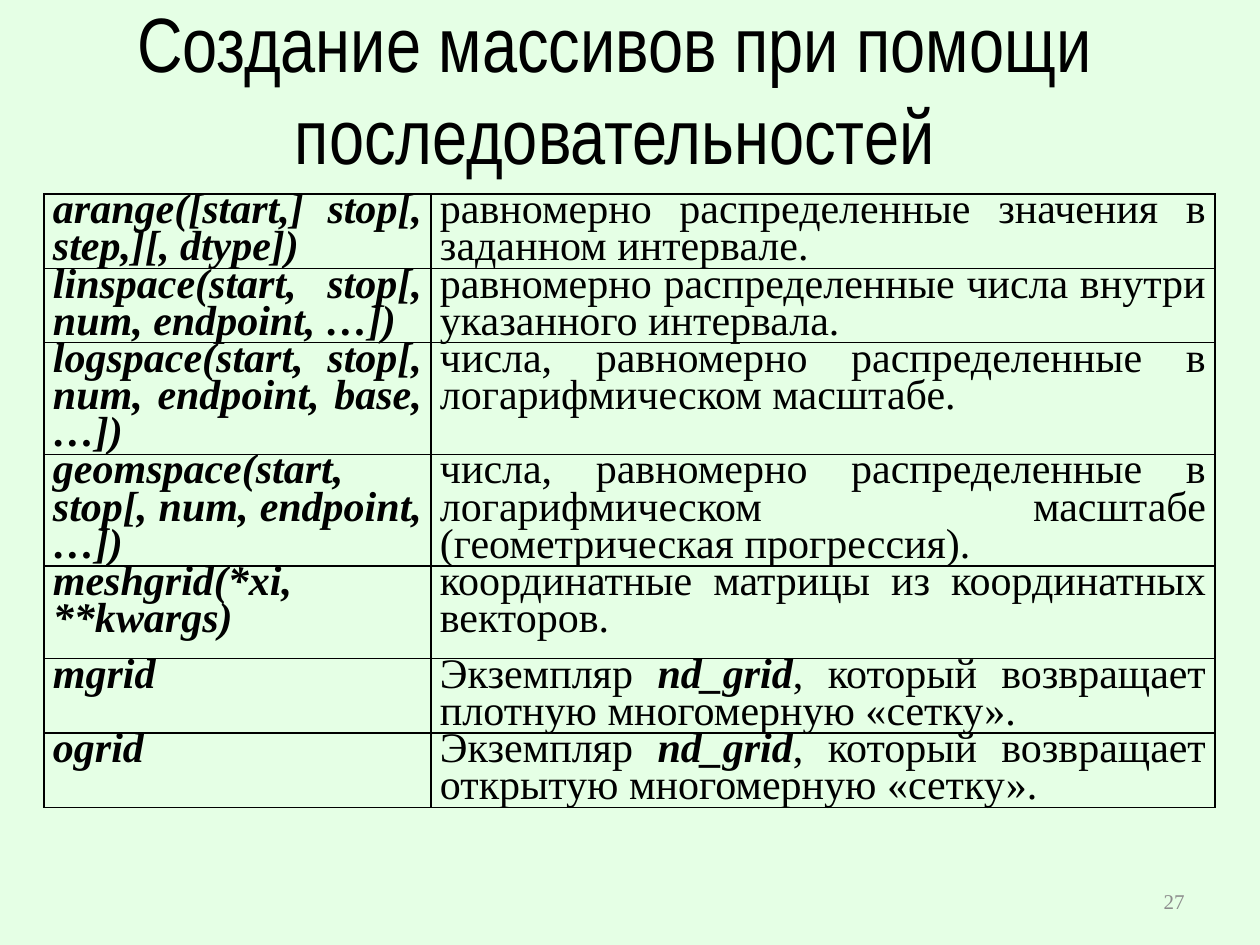
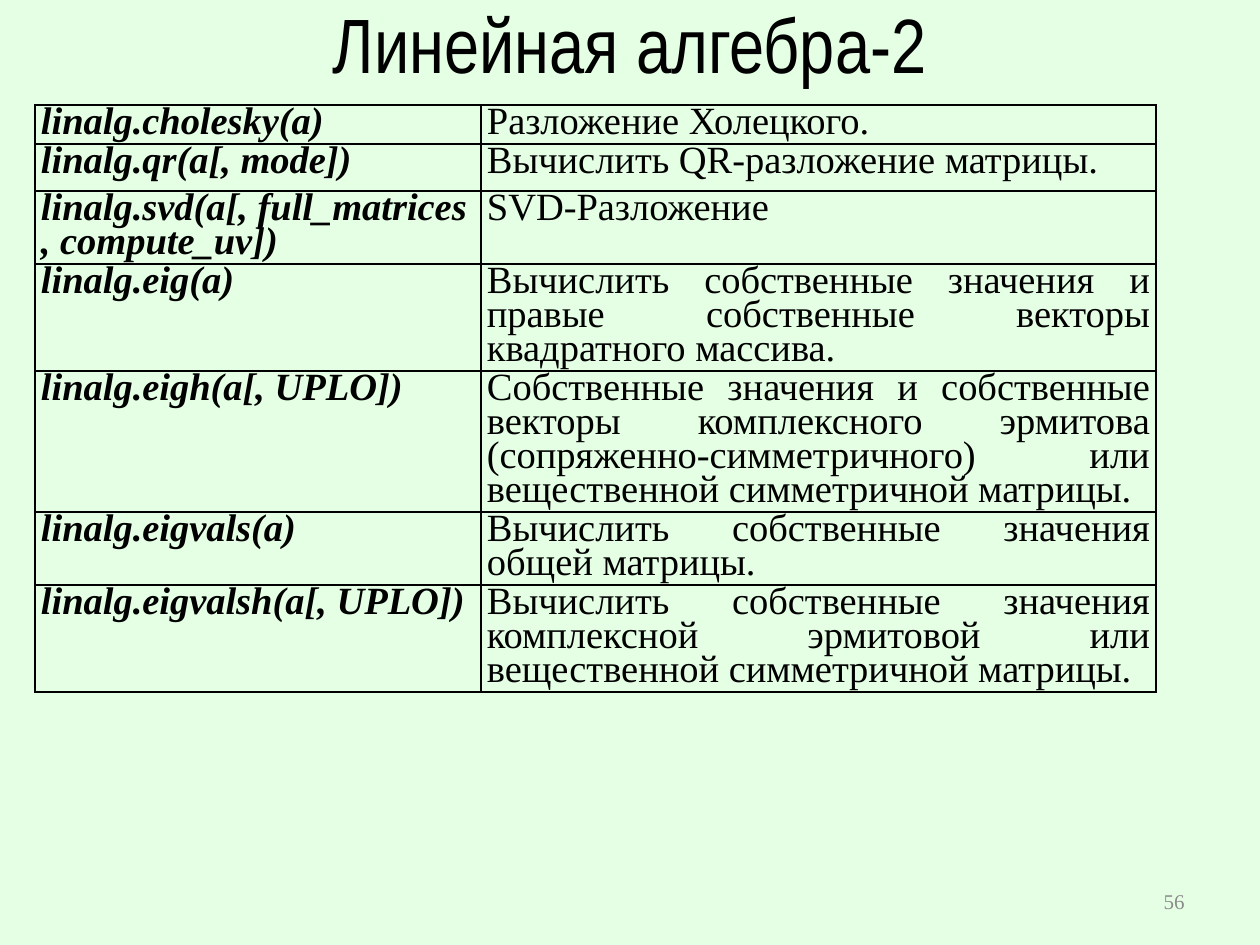
import pptx
import pptx.util
import pptx.dml.color
import pptx.enum.text
import pptx.oxml.ns
from lxml import etree

RGB = pptx.dml.color.RGBColor
MINT = RGB(0xE5, 0xFF, 0xE5)
BLACK = RGB(0, 0, 0)
GREY = RGB(0x8C, 0x8C, 0x8C)
HEAD = "Arial Narrow"
BODY = "Times New Roman"
ALIGN = pptx.enum.text.PP_ALIGN
MIDDLE = pptx.enum.text.MSO_ANCHOR.MIDDLE
FIXED = pptx.enum.text.MSO_AUTO_SIZE.NONE
GAP = chr(160)

ARRAYS = [
    (74, "arange([start,] stop[, step,][, dtype])",
     "равномерно распределенные значения в заданном интервале."),
    (74, "linspace(start, stop[, num, endpoint, …])",
     "равномерно распределенные числа внутри указанного интервала."),
    (111, "logspace(start, stop[, num, endpoint, base, …])",
     "числа, равномерно распределенные в логарифмическом масштабе."),
    (111, "geomspace(start, stop[, num, endpoint, …])",
     "числа, равномерно распределенные в логарифмическом масштабе "
     "(геометрическая прогрессия)."),
    (93, "meshgrid(*xi, **kwargs)",
     "координатные матрицы из координатных векторов."),
    (74, "mgrid",
     "Экземпляр |nd_grid|, который возвращает плотную многомерную «сетку»."),
    (74, "ogrid",
     "Экземпляр |nd_grid|, который возвращает открытую многомерную «сетку»."),
]

LINALG = [
    (39, "linalg.cholesky(a)", "Разложение Холецкого."),
    (47, f"linalg.qr(a[,{GAP}mode])", "Вычислить QR-разложение матрицы."),
    (73, f"linalg.svd(a[,{GAP}full_matrices,{GAP}compute_uv])",
     "SVD-Разложение"),
    (107, "linalg.eig(a)",
     "Вычислить собственные значения и правые собственные векторы "
     "квадратного массива."),
    (141, f"linalg.eigh(a[,{GAP}UPLO])",
     "Собственные значения и собственные векторы комплексного эрмитова "
     "(сопряженно-симметричного) или вещественной симметричной матрицы."),
    (73, "linalg.eigvals(a)",
     "Вычислить собственные значения общей матрицы."),
    (107, f"linalg.eigvalsh(a[,{GAP}UPLO])",
     "Вычислить собственные значения комплексной эрмитовой или "
     "вещественной симметричной матрицы."),
]


def px(count):
    return pptx.util.Emu(round(count * 914400 / 126))


class Deck:
    def __init__(self):
        self.prs = pptx.Presentation()
        self.prs.slide_width = px(1260)
        self.prs.slide_height = px(945)

    def page(self, number):
        self.slide = self.prs.slides.add_slide(self.prs.slide_layouts[5])
        fill = self.slide.background.fill
        fill.solid()
        fill.fore_color.rgb = MINT
        box = self.slide.shapes.add_textbox(px(903), px(876), px(294), px(50))
        self.frame(box)
        para = box.text_frame.paragraphs[0]
        para.alignment = ALIGN.RIGHT
        self.run(para, str(number), 12, BODY, GREY)

    def frame(self, box):
        box.text_frame.word_wrap = True
        box.text_frame.auto_size = FIXED
        box.text_frame.vertical_anchor = MIDDLE

    def run(self, para, text, size, face, color=BLACK, code=False):
        run = para.add_run()
        run.text = text
        font = run.font
        font.size = pptx.util.Pt(size)
        font.name = face
        font.color.rgb = color
        font.bold = font.italic = code

    def title(self, text, left, top):
        box = self.slide.shapes.title
        box.left, box.top = px(left), px(top)
        box.width, box.height = px(1230), px(86)
        self.frame(box)
        para = box.text_frame.paragraphs[0]
        para.alignment = ALIGN.CENTER
        self.run(para, text, 44, HEAD)

    def table(self, rows, left, top, cols, size, side, edge, first):
        high = sum(row[0] for row in rows)
        grid = self.slide.shapes.add_table(
            len(rows), len(cols), px(left), px(top), px(sum(cols)), px(high)
        ).table
        grid.first_row = grid.horz_banding = False
        for col, width in zip(grid.columns, cols):
            col.width = px(width)
        for line, (height, name, note) in zip(grid.rows, rows):
            line.height = px(height)
            texts = ("|" + name, first), (note, ALIGN.JUSTIFY)
            for cell, (text, align) in zip(line.cells, texts):
                cell.margin_left = cell.margin_right = px(side)
                cell.margin_top = cell.margin_bottom = px(edge)
                self.border(cell)
                cell.fill.background()
                para = cell.text_frame.paragraphs[0]
                para.alignment = align
                para.line_spacing = 0.8
                for spot, part in enumerate(text.split("|")):
                    if part:
                        self.run(para, part, size, BODY, code=spot % 2 == 1)

    def border(self, cell):
        qn = pptx.oxml.ns.qn
        props = cell._tc.get_or_add_tcPr()
        for tag in ("a:lnL", "a:lnR", "a:lnT", "a:lnB"):
            line = etree.SubElement(props, qn(tag), w="12700")
            fill = etree.SubElement(line, qn("a:solidFill"))
            etree.SubElement(fill, qn("a:srgbClr"), val=str(BLACK))

    def save(self):
        self.prs.save("out.pptx")


def main():
    deck = Deck()
    deck.page(27)
    deck.title("Создание массивов при помощи последовательностей", 0, 45)
    deck.table(ARRAYS, 44, 194, (387, 784), 24, 9, 0, ALIGN.JUSTIFY)
    deck.page(56)
    deck.title("Линейная алгебра-2", 15, 0)
    deck.table(LINALG, 35, 105, (446, 675), 22, 6, 2, ALIGN.LEFT)
    deck.save()


if __name__ == "__main__":
    main()
